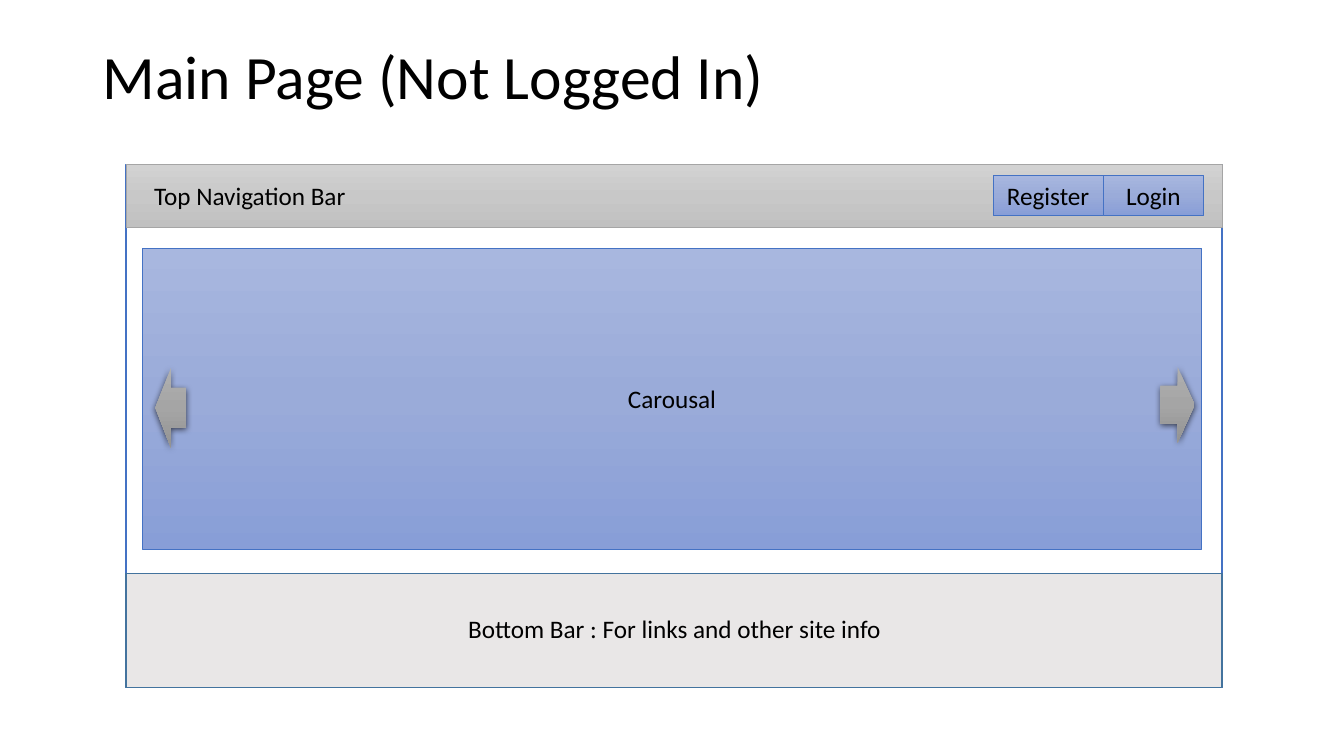
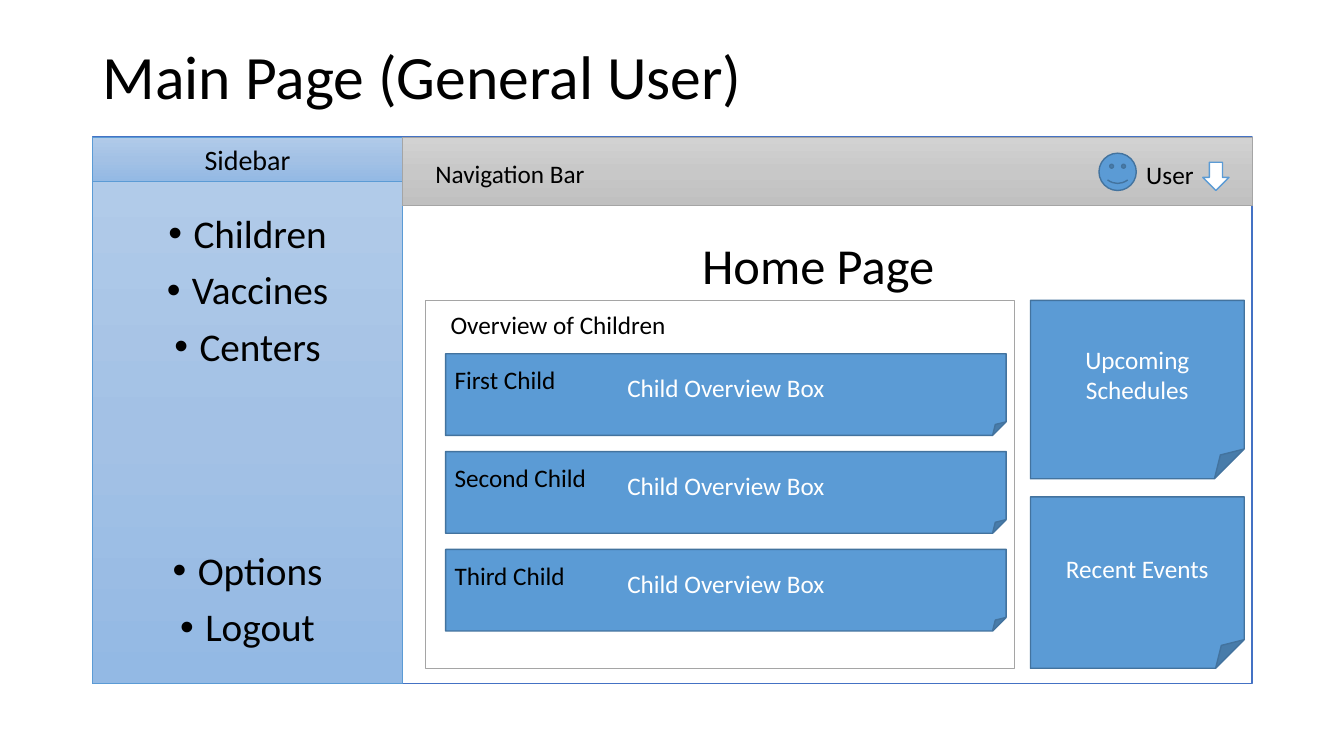
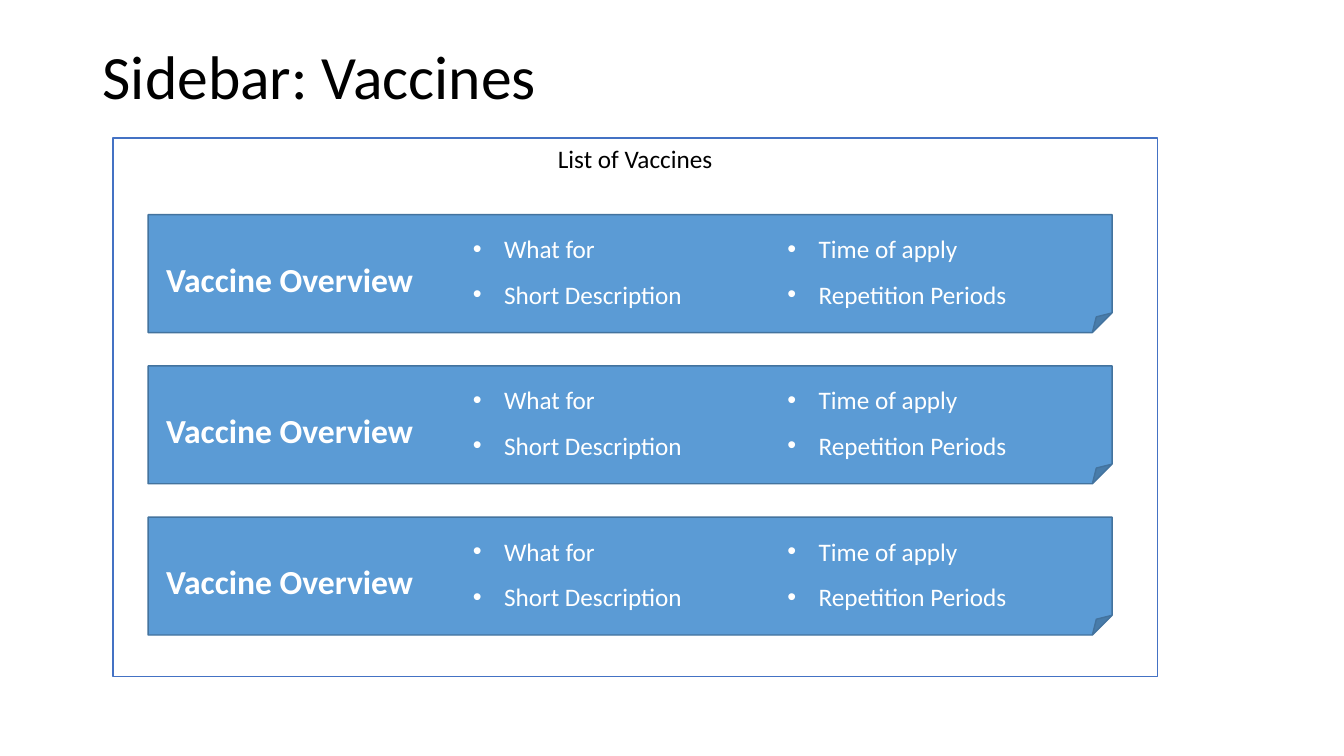
"""Build three wireframe slides for a child vaccination site."""
from copy import deepcopy
from dataclasses import dataclass

from lxml.etree import SubElement
from pptx import Presentation
from pptx.dml.color import RGBColor
from pptx.enum.shapes import MSO_SHAPE
from pptx.enum.text import MSO_ANCHOR, PP_ALIGN
from pptx.oxml.ns import qn
from pptx.shapes.autoshape import Shape
from pptx.slide import Slide
from pptx.text.text import TextFrame
from pptx.util import Inches, Pt

FONT = "Calibri"
BLACK = RGBColor(0x00, 0x00, 0x00)
WHITE = RGBColor(0xFF, 0xFF, 0xFF)
BLUE = RGBColor(0x5B, 0x9B, 0xD5)
DARK_BLUE = RGBColor(0x43, 0x73, 0x9E)
ROYAL = RGBColor(0x44, 0x72, 0xC4)
GREY = RGBColor(0xA5, 0xA5, 0xA5)
PALE_GREY = RGBColor(0xE9, 0xE7, 0xE7)
BAR_GREYS = (RGBColor(0xD2, 0xD2, 0xD2), RGBColor(0xC8, 0xC8, 0xC8), RGBColor(0xC0, 0xC0, 0xC0))
ARROW_GREYS = (RGBColor(0xAF, 0xAF, 0xAF), GREY, RGBColor(0x93, 0x93, 0x93))
PERIWINKLES = (RGBColor(0xA8, 0xB7, 0xDF), RGBColor(0x9A, 0xAB, 0xD9), RGBColor(0x88, 0x9E, 0xD7))
SKIES = (RGBColor(0xB1, 0xCB, 0xE9), RGBColor(0xA3, 0xC1, 0xE5), RGBColor(0x93, 0xB9, 0xE4))


@dataclass(frozen=True)
class Box:
    """A place on the slide, in inches."""
    left: float
    top: float
    width: float
    height: float


@dataclass(frozen=True)
class Look:
    """Fill colours, one or three, with the outline."""
    fill: tuple[RGBColor, ...]
    line: RGBColor | None = None
    weight: float = 1
    shadow: bool = False


@dataclass(frozen=True)
class Words:
    """One paragraph and its format."""
    text: str
    size: float = 18
    color: RGBColor = BLACK
    align: PP_ALIGN = PP_ALIGN.CENTER
    bold: bool = False
    spacing: float = 1.0
    before: float = 0
    margin: float = 0
    bullet: bool = False


FRAME = Look((WHITE,), ROYAL)
NAV_BAR = Look(BAR_GREYS, GREY, 0.5)
PANEL = Look(PERIWINKLES, ROYAL, 0.5)
SIDEBAR = Look(SKIES, BLUE, 0.5)
CARD = Look((BLUE,), DARK_BLUE)
CAROUSEL_ARROW = Look(ARROW_GREYS, shadow=True)


def write(frame: TextFrame, lines: tuple[Words, ...], anchor: MSO_ANCHOR) -> None:
    """Fill a text frame with formatted paragraphs."""
    frame.word_wrap = True
    frame.vertical_anchor = anchor
    for index, words in enumerate(lines):
        paragraph = frame.add_paragraph() if index else frame.paragraphs[0]
        paragraph.text = words.text
        paragraph.alignment = words.align
        paragraph.line_spacing = words.spacing
        paragraph.space_before = Pt(words.before)
        properties = paragraph._p.get_or_add_pPr()
        properties.set("marL", str(Inches(words.margin)))
        if words.bullet:
            properties.set("indent", str(-Inches(words.margin)))
            SubElement(properties, qn("a:buFont")).set("typeface", "Arial")
            SubElement(properties, qn("a:buChar")).set("char", "•")
        font = paragraph.font
        font.name, font.size, font.bold = FONT, Pt(words.size), words.bold
        font.color.rgb = words.color


def add_label(slide: Slide, box: Box, words: Words, anchor: MSO_ANCHOR = MSO_ANCHOR.TOP) -> None:
    """Add a text box holding one paragraph."""
    label = slide.shapes.add_textbox(
        Inches(box.left), Inches(box.top), Inches(box.width), Inches(box.height))
    write(label.text_frame, (words,), anchor)


def paint(shape: Shape, look: Look) -> None:
    """Apply fill, outline and shadow."""
    if len(look.fill) == 1:
        shape.fill.solid()
        shape.fill.fore_color.rgb = look.fill[0]
    else:
        shape.fill.gradient()
        shape.fill.gradient_angle = 270
        stop_list = shape._element.spPr.find(qn("a:gradFill")).find(qn("a:gsLst"))
        stop_list.insert(1, deepcopy(stop_list[0]))
        for stop, color, position in zip(shape.fill.gradient_stops, look.fill, (0, 0.5, 1)):
            stop.color.rgb = color
            stop.position = position
    if look.line is None:
        shape.line.fill.background()
    else:
        shape.line.color.rgb = look.line
        shape.line.width = Pt(look.weight)
    shape.shadow.inherit = False
    if look.shadow:
        effects = shape._element.spPr.find(qn("a:effectLst"))
        outer = SubElement(effects, qn("a:outerShdw"), blurRad=str(Pt(4.5)),
                           dist=str(Pt(1.5)), dir="5400000", algn="ctr", rotWithShape="0")
        tint = SubElement(outer, qn("a:srgbClr"), val=str(BLACK))
        SubElement(tint, qn("a:alpha"), val="63000")


def add_block(slide: Slide, box: Box, look: Look, *lines: Words,
              kind: MSO_SHAPE = MSO_SHAPE.RECTANGLE,
              anchor: MSO_ANCHOR = MSO_ANCHOR.MIDDLE) -> Shape:
    """Add a preset shape with optional text."""
    block = slide.shapes.add_shape(
        kind, Inches(box.left), Inches(box.top), Inches(box.width), Inches(box.height))
    paint(block, look)
    if lines:
        write(block.text_frame, lines, anchor)
    return block


def add_card(slide: Slide, box: Box, *lines: Words) -> Shape:
    """Add a blue card with a folded corner."""
    return add_block(slide, box, CARD, *lines, kind=MSO_SHAPE.FOLDED_CORNER)


def add_titled_slide(deck: Presentation, title: str) -> Slide:
    """Add a blank slide with the shared title style."""
    slide = deck.slides.add_slide(deck.slide_layouts[6])
    add_label(slide, Box(0.92, 0.4, 11.5, 0.78),
              Words(title, 44, align=PP_ALIGN.LEFT, spacing=0.9), MSO_ANCHOR.MIDDLE)
    return slide


def build_public_page(deck: Presentation) -> None:
    """Draw the page seen before login."""
    slide = add_titled_slide(deck, "Main Page (Not Logged In)")
    add_block(slide, Box(1.25, 1.63, 10.87, 5.19), FRAME)
    add_block(slide, Box(1.25, 1.63, 10.87, 0.63), NAV_BAR)
    add_label(slide, Box(1.43, 1.74, 3, 0.4), Words("Top Navigation Bar", align=PP_ALIGN.LEFT))
    for text, left, width in (("Register", 9.85, 1.09), ("Login", 10.94, 1)):
        add_block(slide, Box(left, 1.74, width, 0.4), PANEL, Words(text), anchor=MSO_ANCHOR.TOP)
    add_block(slide, Box(1.41, 2.46, 10.51, 2.99), PANEL, Words("Carousal"))
    add_block(slide, Box(11.51, 3.64, 0.34, 0.75), CAROUSEL_ARROW, kind=MSO_SHAPE.RIGHT_ARROW)
    add_block(slide, Box(1.54, 3.65, 0.31, 0.79), CAROUSEL_ARROW, kind=MSO_SHAPE.LEFT_ARROW)
    add_block(slide, Box(1.25, 5.69, 10.87, 1.13), Look((PALE_GREY,), DARK_BLUE))
    add_label(slide, Box(3.69, 6.04, 6, 0.4), Words("Bottom Bar : For links and other site info"))


def build_user_page(deck: Presentation) -> None:
    """Draw the home page of a general user."""
    slide = add_titled_slide(deck, "Main Page (General User)")
    add_block(slide, Box(0.92, 1.36, 11.5, 5.42), FRAME)
    menu = (("Children", 10), ("Vaccines", 10), ("Centers", 10), ("Options", 130), ("Logout", 10))
    add_block(slide, Box(0.92, 1.8, 3.07, 4.98), SIDEBAR,
              *(Words(text, 28, spacing=0.9, before=before, margin=0.25, bullet=True)
                for text, before in menu))
    add_block(slide, Box(0.92, 1.36, 3.07, 0.44), SIDEBAR, Words("Sidebar", 20),
              anchor=MSO_ANCHOR.TOP)
    add_block(slide, Box(3.99, 1.36, 8.43, 0.68), NAV_BAR)
    add_label(slide, Box(4.22, 1.52, 1.94, 0.4), Words("Navigation Bar", align=PP_ALIGN.LEFT))
    add_label(slide, Box(11.27, 1.53, 0.92, 0.4), Words("User", align=PP_ALIGN.LEFT))
    add_block(slide, Box(10.9, 1.52, 0.37, 0.37), CARD, kind=MSO_SHAPE.SMILEY_FACE)
    add_block(slide, Box(11.93, 1.61, 0.26, 0.28), Look((WHITE,), BLUE), kind=MSO_SHAPE.DOWN_ARROW)
    add_label(slide, Box(6.72, 2.27, 2.79, 0.71), Words("Home Page", 36))
    add_card(slide, Box(10.22, 2.98, 2.12, 1.77), Words("Upcoming Schedules", color=WHITE))
    add_card(slide, Box(10.22, 4.93, 2.12, 1.7), Words("Recent Events", color=WHITE))
    add_block(slide, Box(4.22, 2.98, 5.84, 3.65), Look((WHITE,), GREY))
    add_label(slide, Box(4.37, 3.02, 5.59, 0.4),
              Words("Overview of Children", align=PP_ALIGN.LEFT))
    for row, child in enumerate(("First Child", "Second Child", "Third Child")):
        top = 3.51 + row * 0.97
        add_card(slide, Box(4.42, top, 5.56, 0.81), Words("Child Overview Box", color=WHITE))
        add_label(slide, Box(4.41, top + 0.06, 1.93, 0.4), Words(child, align=PP_ALIGN.LEFT))


def build_vaccines_page(deck: Presentation) -> None:
    """Draw the list of vaccines."""
    slide = add_titled_slide(deck, "Sidebar: Vaccines")
    add_block(slide, Box(1.12, 1.37, 10.36, 5.34), FRAME)
    add_label(slide, Box(1.12, 1.37, 10.36, 0.4), Words("List of Vaccines"))
    heading = Words("Vaccine Overview", 24, WHITE, PP_ALIGN.LEFT, bold=True, spacing=2.0,
                    margin=0.08)
    details = [Words(text, 18, WHITE, PP_ALIGN.LEFT, spacing=1.5, margin=0.31, bullet=True)
               for text in ("What for", "Short Description", "Time of apply", "Repetition Periods")]
    for row in range(3):
        card = add_card(slide, Box(1.47, 2.13 + row * 1.5, 9.56, 1.17), heading, *details)
        card.text_frame._txBody.bodyPr.set("numCol", "3")


def main() -> None:
    """Build and save the deck."""
    deck = Presentation()
    deck.slide_width, deck.slide_height = Inches(13.33), Inches(7.5)
    build_public_page(deck)
    build_user_page(deck)
    build_vaccines_page(deck)
    deck.save("out.pptx")


if __name__ == "__main__":
    main()
